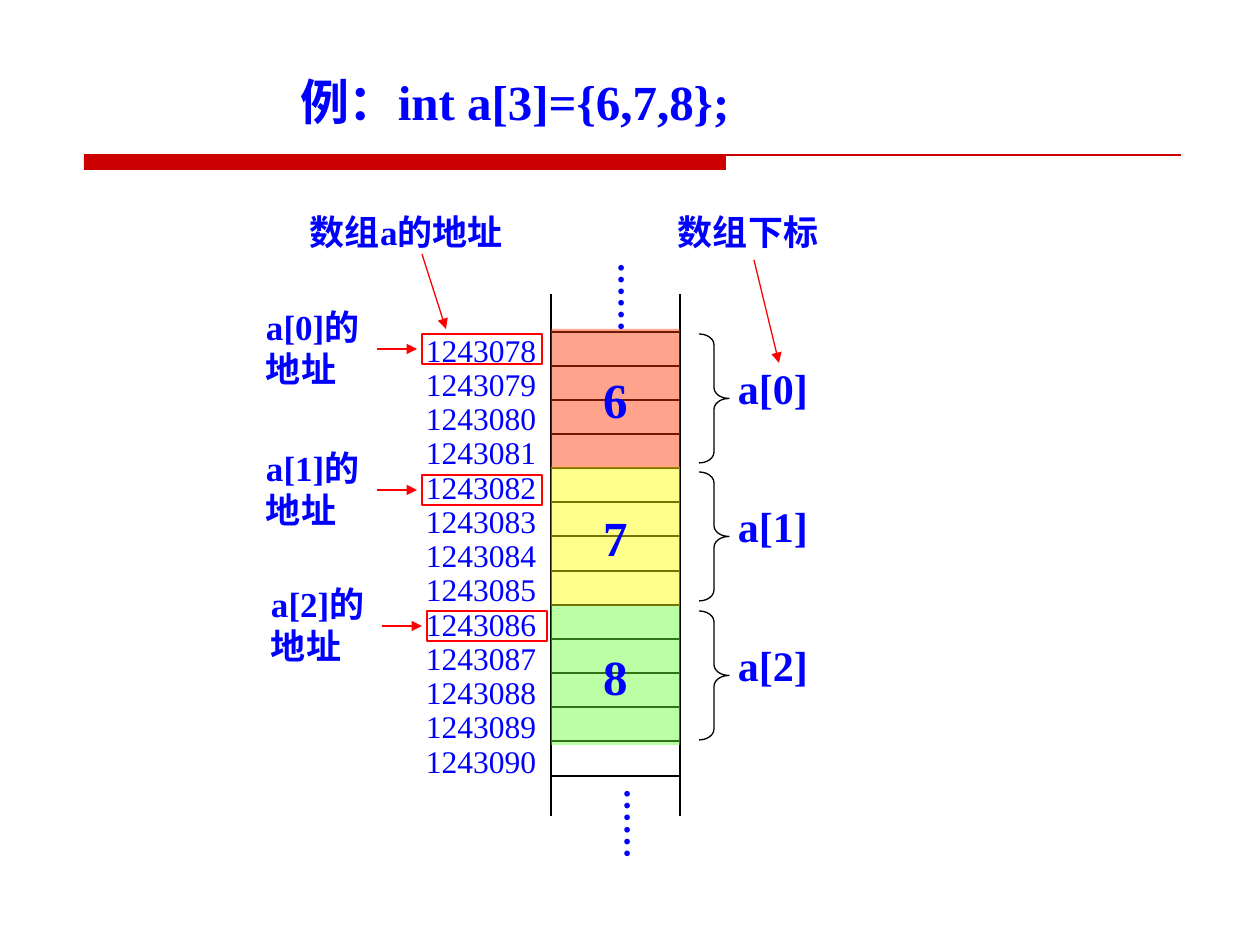
from lxml import etree
from pptx import Presentation
from pptx import util as u
from pptx.dml.color import RGBColor
from pptx.enum import shapes, text
from pptx.oxml.ns import qn

PX = 914400 / 126
FONT = "Times New Roman"
BLUE, RED, BLACK, BAR_RED = "0000FF", "FF0000", "000000", "CC0000"


def px(n):
    return u.Emu(round(n * PX))


def color(hex_text):
    return RGBColor.from_string(hex_text)


class Deck:
    def __init__(self, width, height):
        self.prs = Presentation()
        self.prs.slide_width, self.prs.slide_height = px(width), px(height)
        self.s = self.prs.slides.add_slide(self.prs.slide_layouts[5])

    def set_text(self, sp, words, size, bold=True, align=text.PP_ALIGN.LEFT,
                 anchor=text.MSO_ANCHOR.TOP, inset=(13, 6, 13, 6), wrap=True):
        tf = sp.text_frame
        tf.word_wrap, tf.vertical_anchor = wrap, anchor
        tf.margin_left, tf.margin_top, tf.margin_right, tf.margin_bottom = map(px, inset)
        tf.text = words
        p = tf.paragraphs[0]
        p.alignment = align
        p.font.name, p.font.size, p.font.bold = FONT, u.Pt(size), bold
        p.font.color.rgb = color(BLUE)

    def title(self, words, x, y, w, h, size):
        sp = self.s.shapes.title
        sp.left, sp.top, sp.width, sp.height = map(px, (x, y, w, h))
        self.set_text(sp, words, size)
        sp.text_frame.auto_size = text.MSO_AUTO_SIZE.NONE

    def label(self, words, x, y, w, h, size, vertical=False, **style):
        sp = self.s.shapes.add_textbox(*map(px, (x, y, w, h)))
        self.set_text(sp, words, size, **style)
        sp.text_frame.auto_size = text.MSO_AUTO_SIZE.SHAPE_TO_FIT_TEXT
        if vertical:
            sp.element.txBody.bodyPr.set("vert", "eaVert")

    def shape(self, kind, x, y, w, h, fill=None, line=None, opacity=None):
        sp = self.s.shapes.add_shape(kind, *map(px, (x, y, w, h)))
        sp.shadow.inherit = False
        if fill:
            sp.fill.solid()
            sp.fill.fore_color.rgb = color(fill)
        else:
            sp.fill.background()
        if opacity:
            rgb = sp.element.spPr.find(qn("a:solidFill")).find(qn("a:srgbClr"))
            etree.SubElement(rgb, qn("a:alpha")).set("val", str(opacity * 1000))
        if line:
            sp.line.color.rgb = color(line)
            sp.line.width = u.Pt(0.75)
        else:
            sp.line.fill.background()
        return sp

    def rect(self, *place, **style):
        return self.shape(shapes.MSO_SHAPE.RECTANGLE, *place, **style)

    def brace(self, *place):
        sp = self.shape(shapes.MSO_SHAPE.RIGHT_BRACE, *place, line=BLACK)
        sp.adjustments[0] = 0.36

    def line(self, x1, y1, x2, y2, stroke=BLACK, width=0.75, arrow=False):
        c = self.s.shapes.add_connector(
            shapes.MSO_CONNECTOR.STRAIGHT, *map(px, (x1, y1, x2, y2)))
        c.line.color.rgb = color(stroke)
        c.line.width = u.Pt(width)
        if arrow:
            ln = c.element.spPr.find(qn("a:ln"))
            etree.SubElement(ln, qn("a:tailEnd")).set("type", "triangle")
        etree.SubElement(c.element.spPr, qn("a:effectLst"))


def main():
    d = Deck(1260, 945)
    d.title("例：int a[3]={6,7,8};", 287, 66, 541, 72, 28)
    d.rect(84, 155, 642, 15, fill=BAR_RED)
    d.line(84, 155, 1181, 155, BAR_RED)

    # Memory column: two walls, evenly spaced byte lines, byte addresses
    left, right = 551, 680
    for x in (left, right):
        d.line(x, 294, x, 816)
    for i in range(14):
        y = 332 + i * 444 // 13
        d.line(left, y, right, y)
    for x, y in ((593, 249), (599, 776)):
        d.label("……", x, y, 67, 97, 20, vertical=True, inset=(6, 13, 6, 13))
    for i in range(13):
        d.label(str(1243078 + i), 358, 325 + i * 411 // 12, 203, 50, 18,
                bold=False, inset=(68, 6, 13, 6))

    # Array elements, four bytes each
    for i, (value, fill) in enumerate((("6", "FF3300"), ("7", "FFFF00"), ("8", "66FF33"))):
        dy = i * 277 // 2
        cell = d.rect(left, 329 + dy, right - left, 139, fill=fill, opacity=45)
        d.set_text(cell, value, 28, align=text.PP_ALIGN.CENTER,
                   anchor=text.MSO_ANCHOR.MIDDLE, wrap=False)
        d.brace(699, 334 + dy, 30, 129)
        d.label(f"a[{i}]", 725, 357 + dy, 100, 63, 24)

    # First address of each element
    for i, (x, y) in enumerate(((422, 334), (422, 475), (427, 611))):
        d.rect(x, y, 120, 30, line=RED)
        d.label(f"a[{i}]的地址", x - 169, y - 35, 144, 97, 20)
        d.line(x - 45, y + 15, x - 5, y + 15, RED, 1, arrow=True)

    d.label("数组a的地址", 297, 204, 238, 55, 20)
    d.line(422, 254, 446, 329, RED, arrow=True)
    d.label("数组下标", 665, 204, 174, 55, 20)
    d.line(754, 260, 779, 363, RED, arrow=True)
    d.prs.save("out.pptx")


if __name__ == "__main__":
    main()
